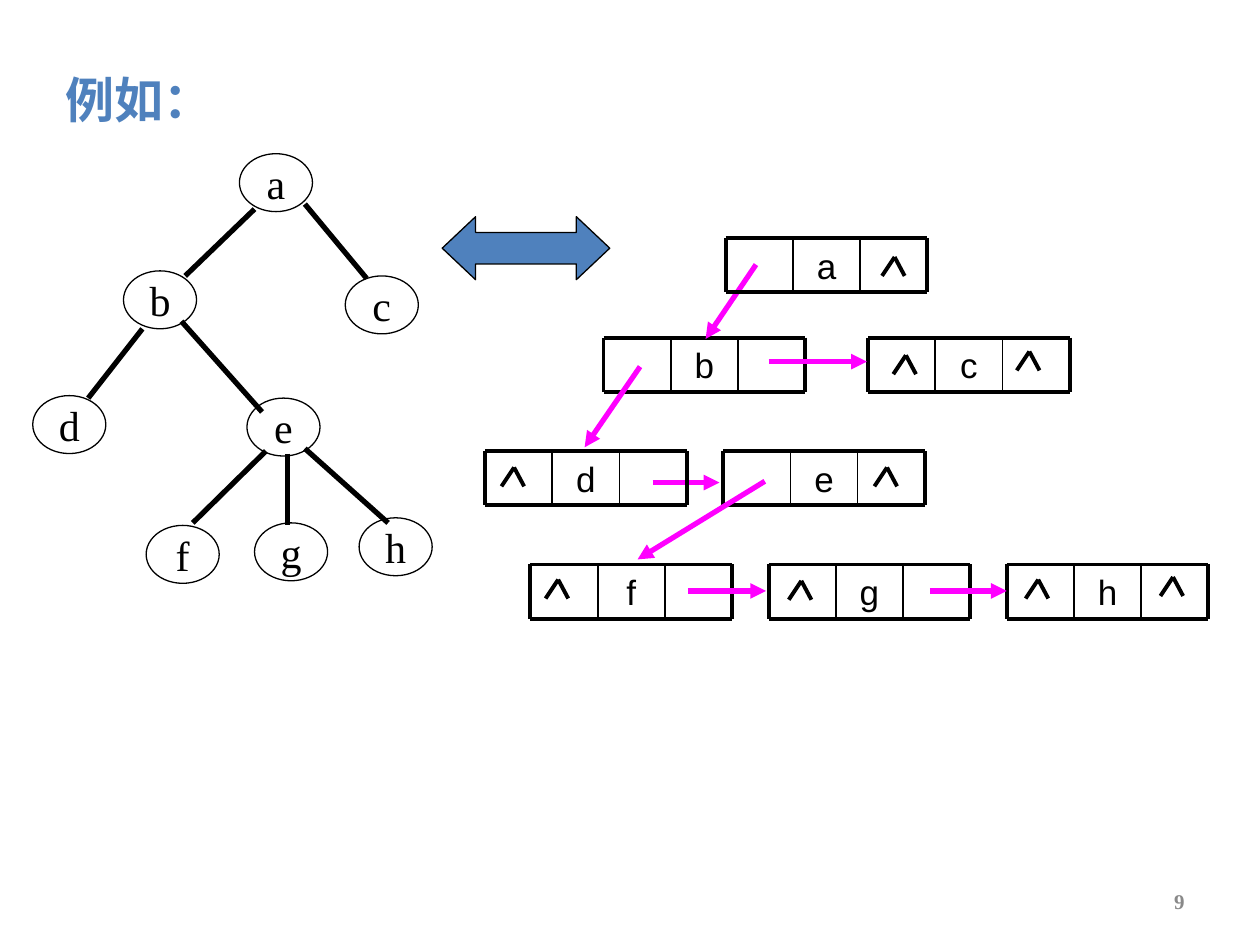
from lxml import etree
from pptx import Presentation
from pptx import util as u
from pptx.dml.color import RGBColor
from pptx.enum import shapes, text
from pptx.oxml.ns import qn

COLORS = {"ink": "000000", "blue": "4F81BD", "link": "FF00FF", "number": "898989"}
SERIF, SANS, CJK = "Times New Roman", "Arial", "Noto Sans CJK SC"

TREE_NODES = {
    "a": (1.9, 1.22), "b": (0.98, 2.15), "c": (2.74, 2.19), "d": (0.26, 3.14),
    "e": (1.96, 3.16), "f": (1.16, 4.17), "g": (2.02, 4.15), "h": (2.85, 4.11),
}
TREE_EDGES = [
    ((2.02, 1.66), (1.47, 2.19)), ((2.42, 1.62), (2.91, 2.21)),
    ((1.13, 2.61), (0.7, 3.16)), ((1.44, 2.55), (2.08, 3.27)),
    ((2.11, 3.58), (1.53, 4.15)), ((2.28, 3.6), (2.28, 4.17)),
    ((2.42, 3.56), (3.08, 4.15)),
]
# label, left and top of the record, incoming pointer, tips of the null marks
RECORDS = [
    ("b", (4.79, 2.68), ((6, 2.1), (5.6, 2.69)), []),
    ("a", (5.76, 1.89), None, [(7.1, 2.04)]),
    ("c", (6.89, 2.68), ((6.1, 2.87), (6.88, 2.87)), [(7.19, 2.82), (8.17, 2.79)]),
    ("e", (5.74, 3.58), ((5.18, 3.83), (5.71, 3.83)), [(7.04, 3.71)]),
    ("d", (3.85, 3.58), ((5.08, 2.91), (4.64, 3.55)), [(4.08, 3.71)]),
    ("f", (4.21, 4.48), ((6.07, 3.82), (5.06, 4.44)), [(4.43, 4.6)]),
    ("g", (6.1, 4.48), ((5.46, 4.69), (6.08, 4.69)), [(6.36, 4.61)]),
    ("h", (7.99, 4.48), ((7.38, 4.69), (7.99, 4.69)), [(8.24, 4.6), (9.31, 4.58)]),
]
RECORD_WIDTH, RECORD_HEIGHT = 1.6, 0.43


def rgb(name):
    return RGBColor.from_string(COLORS[name])


def inches(*lengths):
    return [u.Inches(length) for length in lengths]


class TreeSlide:
    """Holds the slide and draws its kinds of element in one style."""

    def __init__(self, presentation):
        self.slide = presentation.slides.add_slide(presentation.slide_layouts[5])

    def set_text(self, shape, words, size, font, color="ink", bold=False,
                 align=text.PP_ALIGN.CENTER, anchor=text.MSO_ANCHOR.MIDDLE, wrap=True):
        frame = shape.text_frame
        frame.auto_size = text.MSO_AUTO_SIZE.NONE
        frame.word_wrap = wrap
        frame.vertical_anchor = anchor
        frame.text = words
        paragraph = frame.paragraphs[0]
        paragraph.alignment = align
        paragraph.font.size = u.Pt(size)
        paragraph.font.name = font
        paragraph.font.bold = bold
        paragraph.font.color.rgb = rgb(color)
        return paragraph

    def title(self, words, left, top, width, height):
        title = self.slide.shapes.title
        title.left, title.top, title.width, title.height = inches(left, top, width, height)
        paragraph = self.set_text(title, words, 28, CJK, "blue", True, text.PP_ALIGN.LEFT)
        properties = paragraph.runs[0]._r.get_or_add_rPr()
        etree.SubElement(properties, qn("a:ea"), typeface=CJK)

    def label(self, words, left, top, width, height, *style, **options):
        box = self.slide.shapes.add_textbox(*inches(left, top, width, height))
        self.set_text(box, words, *style, **options)

    def outlined(self, kind, left, top, width, height):
        shape = self.slide.shapes.add_shape(kind, *inches(left, top, width, height))
        shape.shadow.inherit = False
        shape.fill.background()
        shape.line.color.rgb = rgb("ink")
        shape.line.width = u.Pt(0.75)
        return shape

    def node(self, words, left, top):
        oval = self.outlined(shapes.MSO_SHAPE.OVAL, left, top, 0.58, 0.46)
        self.set_text(oval, words, 24, SERIF, wrap=False)

    def double_arrow(self, left, top, width, height):
        arrow = self.outlined(shapes.MSO_SHAPE.LEFT_RIGHT_ARROW, left, top, width, height)
        arrow.adjustments[0], arrow.adjustments[1] = 0.5, 0.53
        arrow.fill.solid()
        arrow.fill.fore_color.rgb = rgb("blue")

    def line(self, start, end, width, color="ink", arrow=False):
        connector = self.slide.shapes.add_connector(
            shapes.MSO_CONNECTOR.STRAIGHT, *inches(*start, *end))
        connector.line.color.rgb = rgb(color)
        connector.line.width = u.Pt(width)
        properties = connector._element.spPr
        if arrow:
            etree.SubElement(properties.find(qn("a:ln")), qn("a:tailEnd"), type="triangle")
        etree.SubElement(properties, qn("a:effectLst"))

    def null_mark(self, x, y):
        for dx in (-0.1, 0.08):
            self.line((x, y), (x + dx, y + 0.15), 2.25)

    def record(self, words, left, top):
        """Draw a three-cell record with its label in the middle cell."""
        cell = RECORD_WIDTH / 3
        right, bottom = left + RECORD_WIDTH, top + RECORD_HEIGHT
        self.label(words, left + cell, top, cell, RECORD_HEIGHT, 20, SANS,
                   anchor=text.MSO_ANCHOR.TOP)
        for y in (top, bottom):
            self.line((left, y), (right, y), 2.25)
        for column, width in enumerate((2.25, 1, 1, 2.25)):
            x = left + column * cell
            self.line((x, top), (x, bottom), width)


def main():
    presentation = Presentation()
    presentation.slide_width, presentation.slide_height = inches(10, 7.5)
    page = TreeSlide(presentation)

    page.title("例如：", 0.42, 0.5, 1.42, 0.57)
    for name, place in TREE_NODES.items():
        page.node(name, *place)
    for start, end in TREE_EDGES:
        page.line(start, end, 3)

    for name, place, pointer, null_tips in RECORDS:
        page.record(name, *place)
        if pointer:
            page.line(*pointer, 3, "link", arrow=True)
        for tip in null_tips:
            page.null_mark(*tip)

    page.double_arrow(3.51, 1.72, 1.33, 0.5)
    page.label("9", 7.17, 6.95, 2.33, 0.4, 12, SERIF, "number", True,
               align=text.PP_ALIGN.RIGHT)
    presentation.save("out.pptx")


if __name__ == "__main__":
    main()
